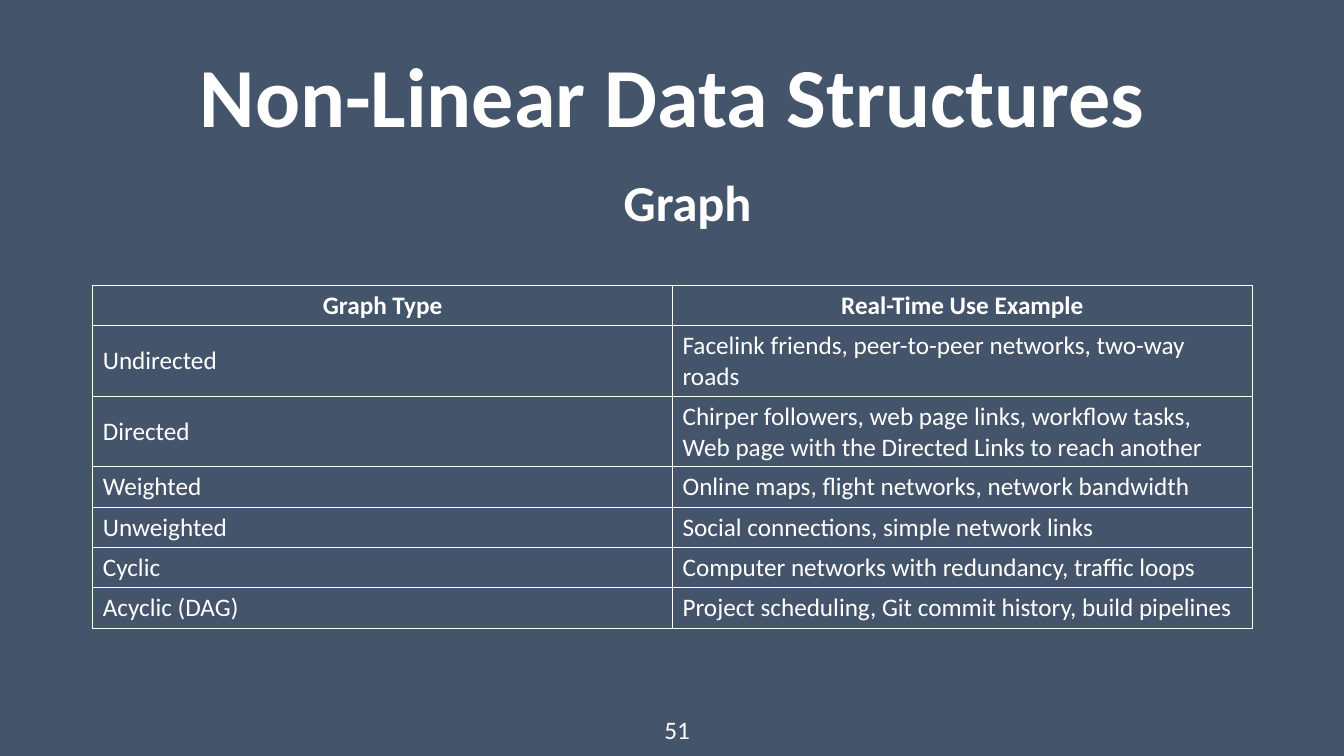
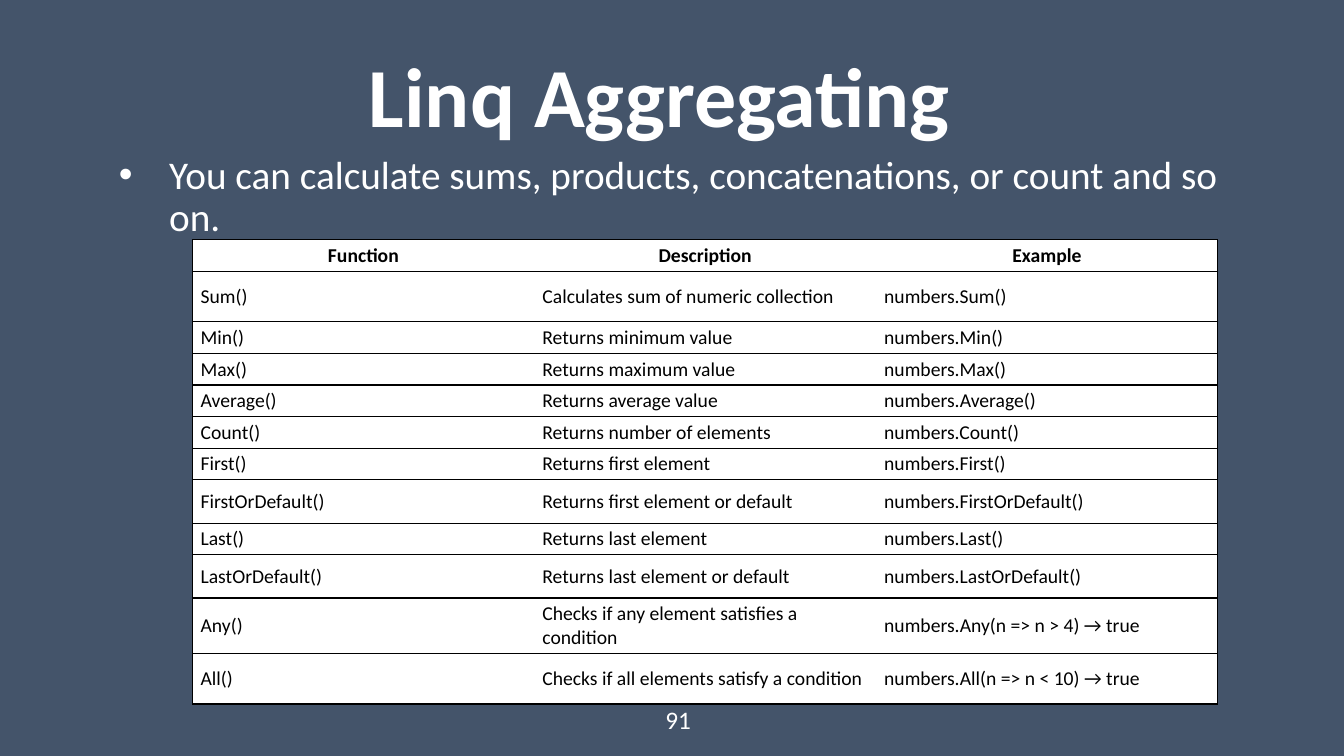
from dataclasses import dataclass

from lxml import etree
from pptx import Presentation
from pptx.dml.color import RGBColor
from pptx.enum.text import MSO_ANCHOR, MSO_AUTO_SIZE, PP_ALIGN
from pptx.oxml.ns import qn
from pptx.slide import Slide
from pptx.table import _Cell
from pptx.text.text import TextFrame
from pptx.util import Inches, Pt

LEFT, CENTER = PP_ALIGN.LEFT, PP_ALIGN.CENTER
TOP, MIDDLE, BOTTOM = MSO_ANCHOR.TOP, MSO_ANCHOR.MIDDLE, MSO_ANCHOR.BOTTOM
GROW = MSO_AUTO_SIZE.SHAPE_TO_FIT_TEXT


@dataclass(frozen=True)
class Theme:
    font: str = "Calibri"
    back: str = "44546A"
    light: str = "FFFFFF"
    dark: str = "000000"
    title: int = 60
    sub: int = 36
    body: int = 28
    page: int = 18


THEME = Theme()


@dataclass(frozen=True)
class Style:
    size: int
    color: str = THEME.light
    bold: bool = False
    align: PP_ALIGN = LEFT
    lead: float = 1.0


@dataclass(frozen=True)
class Box:
    left: float
    top: float
    width: float
    height: float

    def emu(self) -> tuple[int, int, int, int]:
        return (Inches(self.left), Inches(self.top),
                Inches(self.width), Inches(self.height))


@dataclass(frozen=True)
class Grid:
    """A table; fill None leaves the cells clear."""
    left: float
    top: float
    col: float
    rows: list[tuple[float, tuple[str, ...]]]
    size: int
    ink: str
    fill: str | None = None
    inner: bool = True
    pad: tuple[float, float] = (0.1, 0.05)


TITLE = Style(THEME.title, bold=True, align=CENTER, lead=0.9)
SUB = Style(THEME.sub, bold=True, align=CENTER, lead=0.8)
BODY = Style(THEME.body, lead=0.9)
PAGE = Style(THEME.page)

ONE, TWO = 0.4, 0.7
GRAPHS = Grid(0.92, 2.83, 5.75, [
    (ONE, ("Graph Type", "Real-Time Use Example")),
    (TWO, ("Undirected",
           "Facelink friends, peer-to-peer networks, two-way roads")),
    (TWO, ("Directed",
           "Chirper followers, web page links, workflow tasks,\n"
           "Web page with the Directed Links to reach another")),
    (ONE, ("Weighted", "Online maps, flight networks, network bandwidth")),
    (ONE, ("Unweighted", "Social connections, simple network links")),
    (ONE, ("Cyclic", "Computer networks with redundancy, traffic loops")),
    (ONE, ("Acyclic (DAG)",
           "Project scheduling, Git commit history, build pipelines")),
], size=18, ink=THEME.light)

LOW, MID, HIGH, WRAP = 0.31, 0.43, 0.5, 0.55
CALLS = [
    (HIGH, "Sum", "Calculates sum of numeric collection", ""),
    (LOW, "Min", "Returns minimum value", ""),
    (LOW, "Max", "Returns maximum value", ""),
    (LOW, "Average", "Returns average value", ""),
    (LOW, "Count", "Returns number of elements", ""),
    (LOW, "First", "Returns first element", ""),
    (MID, "FirstOrDefault", "Returns first element or default", ""),
    (LOW, "Last", "Returns last element", ""),
    (MID, "LastOrDefault", "Returns last element or default", ""),
    (WRAP, "Any", "Checks if any element satisfies a condition", "n => n > 4"),
    (HIGH, "All", "Checks if all elements satisfy a condition", "n => n < 10"),
]
LINQ = Grid(1.91, 2.38, 3.39, [
    (LOW, ("Function", "Description", "Example")),
    *((high, (f"{name}()", about,
              f"numbers.{name}({test})" + (" → true" if test else "")))
      for high, name, about, test in CALLS),
], size=14, ink=THEME.dark, fill=THEME.light, inner=False, pad=(0.08, 0.04))


def write(frame: TextFrame, text: str, style: Style) -> None:
    frame.text = text
    for para in frame.paragraphs:
        para.alignment = style.align
        para.line_spacing = style.lead
        for run in para.runs:
            font = run.font
            font.name = THEME.font
            font.size = Pt(style.size)
            font.bold = style.bold
            font.color.rgb = RGBColor.from_string(style.color)


def add_text(slide: Slide, box: Box, text: str, style: Style,
             anchor: MSO_ANCHOR = TOP) -> TextFrame:
    frame = slide.shapes.add_textbox(*box.emu()).text_frame
    frame.word_wrap = True
    frame.vertical_anchor = anchor
    write(frame, text, style)
    return frame


def add_bullet(frame: TextFrame) -> None:
    props = frame.paragraphs[0]._p.get_or_add_pPr()
    props.set("marL", str(Inches(0.5)))
    props.set("indent", str(Inches(-0.5)))
    etree.SubElement(props, qn("a:buFont"), typeface="Arial")
    etree.SubElement(props, qn("a:buChar"), char="•")


def edge(cell: _Cell, side: str, color: str | None) -> None:
    """Draw one cell border, or hide it when color is None."""
    props = cell._tc.get_or_add_tcPr()
    line = etree.SubElement(props, qn(f"a:ln{side}"), w=str(Pt(1)))
    if color is None:
        etree.SubElement(line, qn("a:noFill"))
    else:
        fill = etree.SubElement(line, qn("a:solidFill"))
        etree.SubElement(fill, qn("a:srgbClr"), val=color)


def add_grid(slide: Slide, grid: Grid) -> None:
    count = len(grid.rows[0][1])
    box = Box(grid.left, grid.top, grid.col * count,
              sum(high for high, _ in grid.rows))
    table = slide.shapes.add_table(len(grid.rows), count, *box.emu()).table
    table.first_row = table.horz_banding = False
    for col in table.columns:
        col.width = Inches(grid.col)
    head = Style(grid.size, grid.ink, bold=True, align=CENTER)
    plain = Style(grid.size, grid.ink)
    for r, (high, texts) in enumerate(grid.rows):
        table.rows[r].height = Inches(high)
        for c, text in enumerate(texts):
            cell = table.cell(r, c)
            shown = {"L": grid.inner or c == 0,
                     "R": grid.inner or c == count - 1,
                     "T": True, "B": True}
            for side, on in shown.items():
                edge(cell, side, grid.ink if on else None)
            if grid.fill is None:
                cell.fill.background()
            else:
                cell.fill.solid()
                cell.fill.fore_color.rgb = RGBColor.from_string(grid.fill)
            cell.vertical_anchor = MIDDLE
            cell.margin_left = cell.margin_right = Inches(grid.pad[0])
            cell.margin_top = cell.margin_bottom = Inches(grid.pad[1])
            write(cell.text_frame, text, head if r == 0 else plain)


def add_page(deck: Presentation, title: str, box: Box,
             num: int, spot: Box) -> Slide:
    """Add a slide with background, title and page number."""
    slide = deck.slides.add_slide(deck.slide_layouts[6])
    fill = slide.background.fill
    fill.solid()
    fill.fore_color.rgb = RGBColor.from_string(THEME.back)
    add_text(slide, box, title, TITLE, BOTTOM)
    frame = add_text(slide, spot, str(num), PAGE)
    frame.word_wrap = False
    frame.auto_size = GROW
    return slide


def add_graph(deck: Presentation) -> None:
    slide = add_page(deck, "Non-Linear Data Structures",
                     Box(1.14, 0.36, 11.06, 1.13),
                     51, Box(6.49, 7.04, 0.5, 0.4))
    add_text(slide, Box(0.97, 1.76, 11.7, 0.59), "Graph", SUB)
    add_grid(slide, GRAPHS)


def add_linq(deck: Presentation) -> None:
    slide = add_page(deck, "Linq Aggregating ", Box(0.67, 0.7, 11.93, 0.79),
                     91, Box(6.5, 6.94, 0.5, 0.4))
    frame = add_text(slide, Box(1.08, 1.49, 11.35, 1.08),
                     "You can calculate sums, products, concatenations, "
                     "or count and so on.", BODY)
    add_bullet(frame)
    add_grid(slide, LINQ)


def main() -> None:
    deck = Presentation()
    deck.slide_width = Inches(13.33)
    deck.slide_height = Inches(7.5)
    add_graph(deck)
    add_linq(deck)
    deck.save("out.pptx")


if __name__ == "__main__":
    main()
